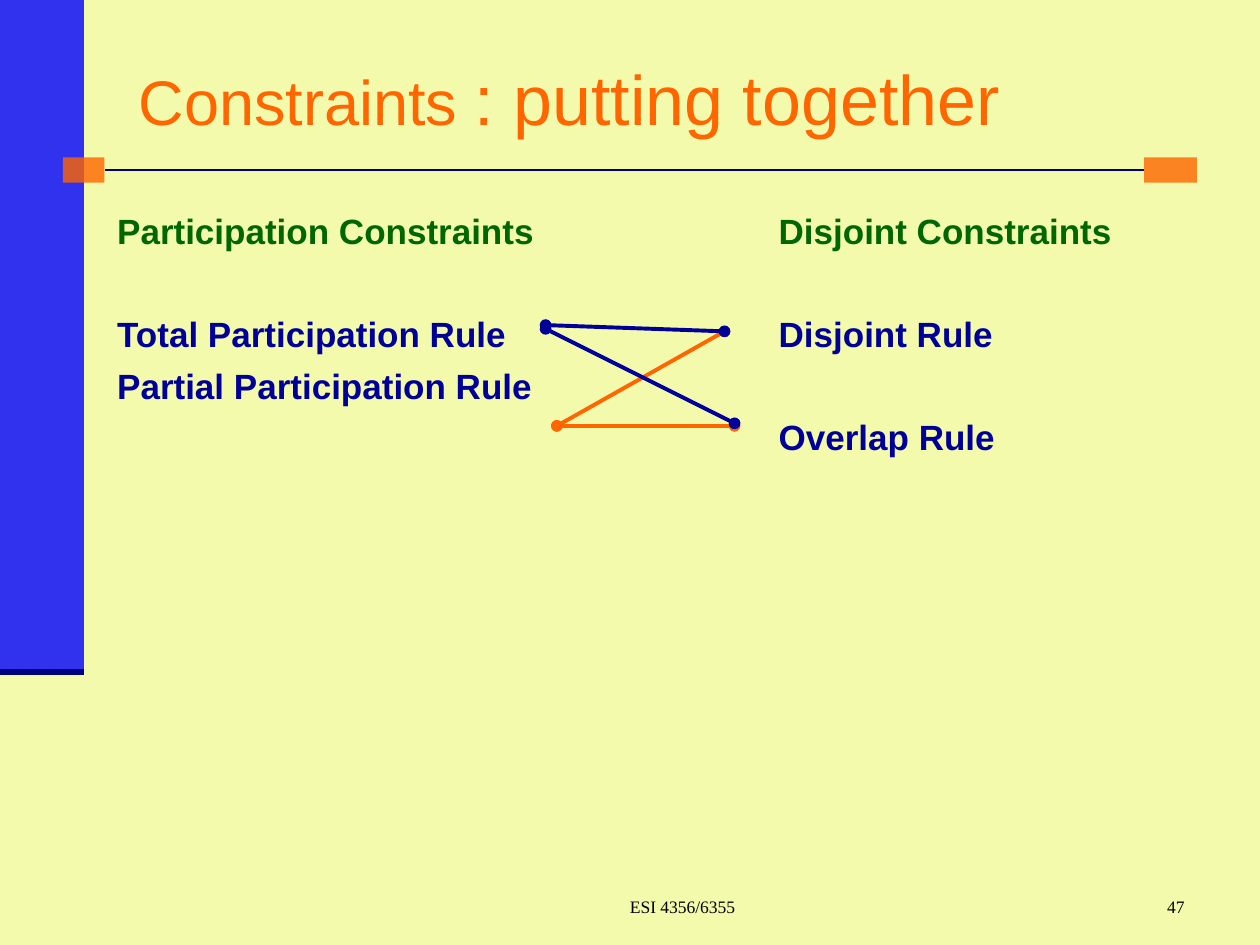
from lxml import etree
from pptx import Presentation
from pptx.dml.color import RGBColor
from pptx.enum.shapes import MSO_CONNECTOR, MSO_SHAPE
from pptx.enum.text import MSO_ANCHOR, MSO_AUTO_SIZE, PP_ALIGN
from pptx.oxml.ns import qn
from pptx.util import Inches, Pt

RECTANGLE = MSO_SHAPE.RECTANGLE
STRAIGHT = MSO_CONNECTOR.STRAIGHT
LEFT, CENTER, RIGHT = PP_ALIGN.LEFT, PP_ALIGN.CENTER, PP_ALIGN.RIGHT
MIDDLE, TOP, BOTTOM = MSO_ANCHOR.MIDDLE, MSO_ANCHOR.TOP, MSO_ANCHOR.BOTTOM
SIDE_LEFT, SIDE_RIGHT = 1, 3

CREAM = RGBColor(0xF3, 0xFA, 0xAC)
BLUE = RGBColor(0x00, 0x00, 0xFF)
NAVY = RGBColor(0x00, 0x00, 0x80)
DARK_BLUE = RGBColor(0x00, 0x00, 0x99)
ORANGE = RGBColor(0xFF, 0x66, 0x00)
GREEN = RGBColor(0x00, 0x66, 0x00)
BLACK = RGBColor(0x00, 0x00, 0x00)

SLIDE_WIDTH, SLIDE_HEIGHT = 10, 7.5
BAND_WIDTH, BAND_HEIGHT = SLIDE_WIDTH / 15, 5.33
MARKER_TOP, MARKER_HEIGHT = 1.25, 0.2
COLUMN_TOP = 1.58
FOOTER_TOP, FOOTER_HEIGHT = 6.83, 0.5
LINE_GAP = 6                  # points between neighbouring rows
ROW_PITCH = 29                # points from row to row


def place(shape, left, top, width, height):
    shape.left, shape.top = Inches(left), Inches(top)
    shape.width, shape.height = Inches(width), Inches(height)


def format_run(run, size, color, font="Arial", bold=False):
    run.font.name, run.font.size = font, Pt(size)
    run.font.bold = bold
    run.font.color.rgb = color


def add_block(slide, box, color):
    """Rectangle without outline, 80 percent opaque."""
    block = slide.shapes.add_shape(RECTANGLE, *map(Inches, box))
    block.shadow.inherit = False
    block.fill.solid()
    block.fill.fore_color.rgb = color
    block.line.fill.background()
    color_element = block.fill._xPr.find(".//" + qn("a:srgbClr"))
    etree.SubElement(color_element, qn("a:alpha"), val="80000")
    return block


def add_line(slide, start, end, color, width, oval_ends=False):
    line = slide.shapes.add_connector(STRAIGHT, *map(Inches, start + end))
    line.line.color.rgb = color
    line.line.width = Pt(width)
    if oval_ends:
        outline = line.line._get_or_add_ln()
        for tag in ("a:headEnd", "a:tailEnd"):
            etree.SubElement(outline, qn(tag), type="oval")
    etree.SubElement(line._element.spPr, qn("a:effectLst"))
    return line


def fill_title(title):
    place(title, 1, 0.3, 8.5, 0.95)
    frame = title.text_frame
    frame.vertical_anchor = MIDDLE
    paragraph = frame.paragraphs[0]
    paragraph.alignment = LEFT
    for text, size in (("Constraints ", 36), (": putting together", 40)):
        run = paragraph.add_run()
        run.text = text
        format_run(run, size, ORANGE)


def fill_column(placeholder, box, rows):
    """Rows are (grid row, text); the first one is the heading."""
    place(placeholder, *box)
    frame = placeholder.text_frame
    frame.text = "\n".join(text for _, text in rows)
    frame.auto_size = MSO_AUTO_SIZE.NONE
    frame.vertical_anchor = TOP
    frame.margin_top = Inches(0.08)
    previous_row = 0
    for paragraph, (row, _) in zip(frame.paragraphs, rows):
        properties = paragraph._p.get_or_add_pPr()
        properties.set("marL", "0")
        properties.set("indent", "0")
        etree.SubElement(properties, qn("a:buNone"))
        skipped = max(row - previous_row - 1, 0)
        paragraph.space_before = Pt(LINE_GAP + skipped * ROW_PITCH if row else 0)
        color = DARK_BLUE if row else GREEN
        format_run(paragraph.runs[0], 20, color, bold=True)
        previous_row = row


def add_footer(slide, text, left, width, alignment):
    box = slide.shapes.add_textbox(*map(Inches, (left, FOOTER_TOP, width, FOOTER_HEIGHT)))
    frame = box.text_frame
    frame.word_wrap = True
    frame.vertical_anchor = BOTTOM
    frame.margin_left = Inches(0.34)
    frame.text = text
    paragraph = frame.paragraphs[0]
    paragraph.alignment = alignment
    format_run(paragraph.runs[0], 10, BLACK, font="Times New Roman")


def add_decoration(slide):
    # Side band and its bottom edge
    add_block(slide, (0, 0, BAND_WIDTH, BAND_HEIGHT), BLUE)
    add_line(slide, (0, BAND_HEIGHT), (BAND_WIDTH, BAND_HEIGHT), NAVY, 3.5)

    # Rule under the title, held between two markers
    right_marker = add_block(slide, (9.08, MARKER_TOP, 0.42, MARKER_HEIGHT), ORANGE)
    left_marker = add_block(slide, (0.5, MARKER_TOP, 0.33, MARKER_HEIGHT), ORANGE)
    middle = MARKER_TOP + MARKER_HEIGHT / 2
    rule = add_line(slide, (0.83, middle), (9.08, middle), NAVY, 1.5)
    rule.begin_connect(left_marker, SIDE_RIGHT)
    rule.end_connect(right_marker, SIDE_LEFT)


def main():
    presentation = Presentation()
    presentation.slide_width = Inches(SLIDE_WIDTH)
    presentation.slide_height = Inches(SLIDE_HEIGHT)
    two_content = presentation.slide_layouts[3]
    slide = presentation.slides.add_slide(two_content)
    slide.background.fill.solid()
    slide.background.fill.fore_color.rgb = CREAM

    add_decoration(slide)

    # Title and the two columns of constraints
    title, participation, disjoint = slide.placeholders
    fill_title(title)
    fill_column(participation, (0.83, COLUMN_TOP, 4.25, 5.01), [
        (0, "Participation Constraints"),
        (2, "Total Participation Rule"),
        (3, "Partial Participation Rule"),
    ])
    fill_column(disjoint, (6.08, COLUMN_TOP, 3.17, 4.75), [
        (0, "Disjoint Constraints"),
        (2, "Disjoint Rule"),
        (4, "Overlap Rule"),
    ])

    # Links between participation rules and disjoint rules
    for start, end, color in (
        ((4.42, 3.38), (5.75, 2.63), ORANGE),
        ((4.42, 3.38), (5.83, 3.38), ORANGE),
        ((4.33, 2.61), (5.83, 3.36), DARK_BLUE),
        ((4.33, 2.58), (5.75, 2.63), DARK_BLUE),
    ):
        add_line(slide, start, end, color, 2.25, oval_ends=True)

    # Footer
    add_footer(slide, "ESI 4356/6355", 3.67, 3.25, CENTER)
    add_footer(slide, "47", 7.42, 2.08, RIGHT)

    presentation.save("out.pptx")


if __name__ == "__main__":
    main()
